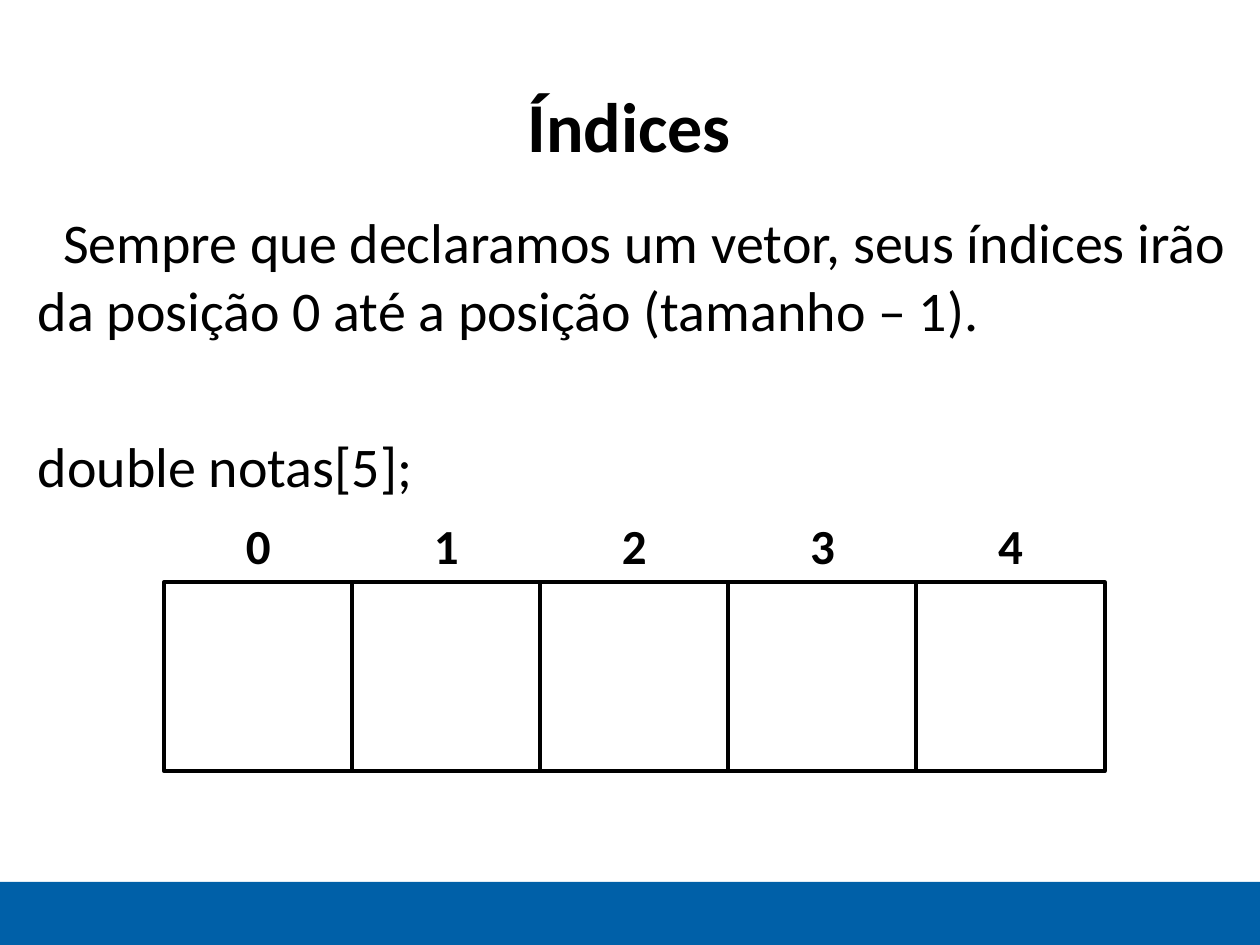
import pptx
import pptx.util
import pptx.dml.color
import pptx.enum.shapes
import pptx.enum.text
from pptx.util import Inches

ALIGN = pptx.enum.text.PP_ALIGN
RECTANGLE = pptx.enum.shapes.MSO_SHAPE.RECTANGLE


def color(value):
    return pptx.dml.color.RGBColor.from_string(value)


def write(paragraph, text, size, bold=False, align=ALIGN.CENTER, spacing=1.0, before=0):
    run = paragraph.add_run()
    run.text = text
    run.font.name = "Calibri"
    run.font.size = pptx.util.Pt(size)
    run.font.bold = bold
    run.font.color.rgb = color("000000")
    paragraph.alignment = align
    paragraph.line_spacing = spacing
    paragraph.space_before = pptx.util.Pt(before)


presentation = pptx.Presentation()
presentation.slide_width = Inches(10)
presentation.slide_height = Inches(7.5)
slide = presentation.slides.add_slide(presentation.slide_layouts[1])
shapes = slide.shapes

heading = shapes.title
heading.left, heading.top = Inches(2.95), Inches(0.21)
heading.width, heading.height = Inches(4.09), Inches(0.89)
heading.text_frame.auto_size = pptx.enum.text.MSO_AUTO_SIZE.NONE
heading.text_frame.vertical_anchor = pptx.enum.text.MSO_ANCHOR.MIDDLE
write(heading.text_frame.paragraphs[0], "Índices", size=40, bold=True, spacing=2.0)

explanation = slide.placeholders[1]
explanation.left, explanation.top = Inches(0.2), Inches(1.6)
explanation.width, explanation.height = Inches(9.64), Inches(4.67)
explanation.text_frame.auto_size = pptx.enum.text.MSO_AUTO_SIZE.NONE
rule = explanation.text_frame.paragraphs[0]
declaration = explanation.text_frame.add_paragraph()
write(rule, "Sempre que declaramos um vetor, seus índices irão da posição 0 até a posição (tamanho – 1).",
      size=32, align=ALIGN.JUSTIFY)
write(declaration, "double notas[5];", size=32, align=ALIGN.JUSTIFY, before=51)
for paragraph, indent in ((rule, Inches(0.2)), (declaration, 0)):
    properties = paragraph._p.get_or_add_pPr()
    properties.set("marL", "0")
    properties.set("indent", str(indent))
    properties.append(pptx.oxml.parse_xml(
        '<a:buNone xmlns:a="http://schemas.openxmlformats.org/drawingml/2006/main"/>'))

footer_band = shapes.add_shape(RECTANGLE, 0, Inches(7), Inches(10), Inches(0.5))
footer_band.shadow.inherit = False
footer_band.fill.solid()
footer_band.fill.fore_color.rgb = color("0060A8")
footer_band.line.fill.background()

cell_size = 1.5
label_width = 0.4
for index in range(5):
    left = 1.3 + 5.97 * index / 4
    cell = shapes.add_shape(RECTANGLE, Inches(left), Inches(4.62), Inches(cell_size), Inches(cell_size))
    cell.shadow.inherit = False
    cell.fill.solid()
    cell.fill.fore_color.rgb = color("FFFFFF")
    cell.line.color.rgb = color("000000")
    cell.line.width = pptx.util.Pt(2)

    label = shapes.add_textbox(Inches(left + (cell_size - label_width) / 2), Inches(4.04),
                               Inches(label_width), Inches(0.57))
    label.text_frame.word_wrap = False
    write(label.text_frame.paragraphs[0], str(index), size=28, bold=True)

presentation.save("out.pptx")
